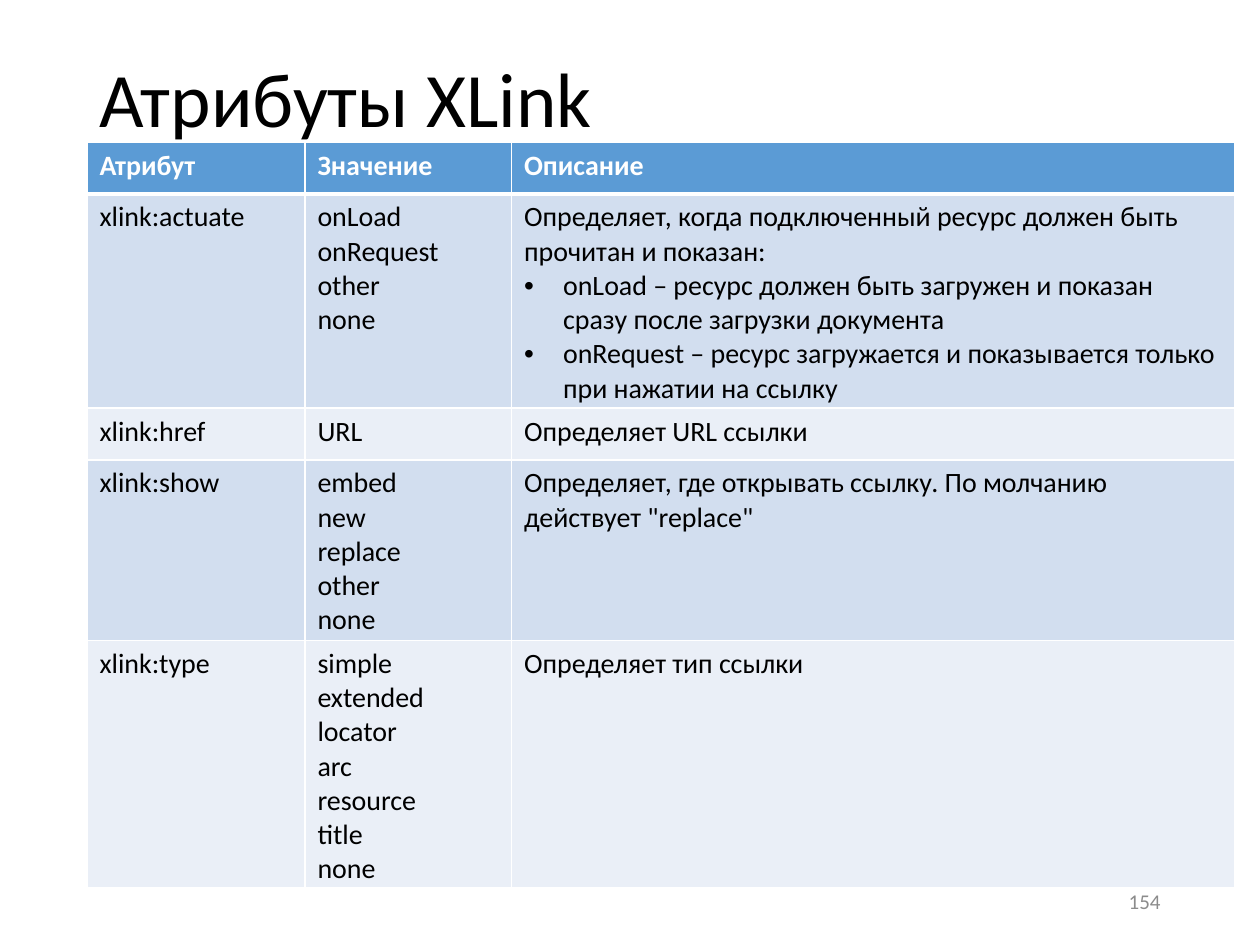
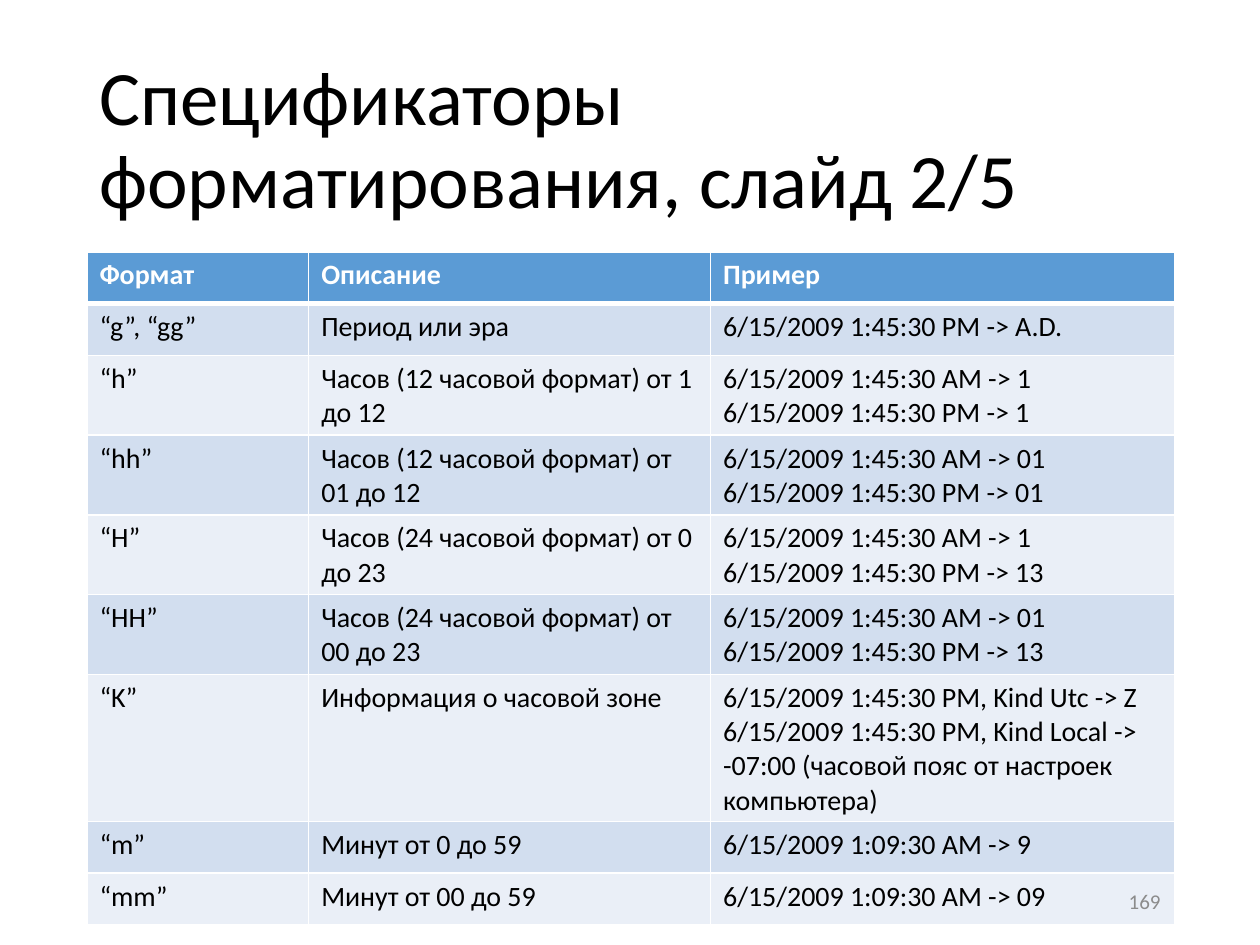
from lxml.etree import SubElement
from pptx import Presentation
from pptx.dml.color import RGBColor
from pptx.enum.text import MSO_ANCHOR, PP_ALIGN
from pptx.oxml.ns import qn
from pptx.util import Inches, Pt

# Content: a list inside a cell is an introduction followed by bullet items
SLIDES = [
    {
        "title": "Атрибуты XLink",
        "title_height": 0.82,
        "number": "154",
        "table_top": 1.13,
        "columns": [1.73, 1.64, 5.74],
        "rows": [
            ("Атрибут", "Значение", "Описание"),
            ("xlink:actuate", "onLoad\nonRequest\nother\nnone", [
                "Определяет, когда подключенный ресурс должен быть прочитан и показан:",
                "onLoad – ресурс должен быть загружен и показан сразу после загрузки документа",
                "onRequest – ресурс загружается и показывается только при нажатии на ссылку",
            ]),
            ("xlink:href", "URL", "Определяет URL ссылки"),
            ("xlink:show", "embed\nnew\nreplace\nother\nnone",
             'Определяет, где открывать ссылку. По молчанию действует "replace"'),
            ("xlink:type", "simple\nextended\nlocator\narc\nresource\ntitle\nnone",
             "Определяет тип ссылки"),
        ],
    },
    {
        "title": "Спецификаторы форматирования, слайд 2/5",
        "title_height": 1.45,
        "number": "169",
        "table_top": 2,
        "columns": [1.76, 3.19, 3.68],
        "rows": [
            ("Формат", "Описание", "Пример"),
            ("“g”, “gg”", "Период или эра", "6/15/2009 1:45:30 PM -> A.D."),
            ("“h”", "Часов (12 часовой формат) от 1 до 12",
             "6/15/2009 1:45:30 AM -> 1\n6/15/2009 1:45:30 PM -> 1"),
            ("“hh”", "Часов (12 часовой формат) от 01 до 12",
             "6/15/2009 1:45:30 AM -> 01\n6/15/2009 1:45:30 PM -> 01"),
            ("“H”", "Часов (24 часовой формат) от 0 до 23",
             "6/15/2009 1:45:30 AM -> 1\n6/15/2009 1:45:30 PM -> 13"),
            ("“HH”", "Часов (24 часовой формат) от 00 до 23",
             "6/15/2009 1:45:30 AM -> 01\n6/15/2009 1:45:30 PM -> 13"),
            ("“K”", "Информация о часовой зоне",
             "6/15/2009 1:45:30 PM, Kind Utc -> Z\n6/15/2009 1:45:30 PM, Kind Local -> "
             "-07:00 (часовой пояс от настроек компьютера)"),
            ("“m”", "Минут от 0 до 59", "6/15/2009 1:09:30 AM -> 9"),
            ("“mm”", "Минут от 00 до 59", "6/15/2009 1:09:30 AM -> 09"),
        ],
    },
]

# Shared style
FONT = "Calibri"
BLACK, WHITE, GRAY = "000000", "FFFFFF", "8C8C8C"
HEADER_FILL, BAND_FILLS = "5B9BD5", ("D2DEEF", "EAEFF7")
SLIDE_WIDTH, SLIDE_HEIGHT = 10, 7.5
MARGIN = 0.69
CONTENT_WIDTH = SLIDE_WIDTH - 2 * MARGIN
TITLE_TOP = 0.4
NUMBER_TOP, NUMBER_WIDTH, NUMBER_HEIGHT = 6.95, 2.25, 0.4
ROW_HEIGHT = 0.41
BULLET_INDENT = 0.31
THIN, THICK = 1, 3


def color(value):
    return RGBColor.from_string(value)


def style(paragraph, size, text_color, bold=False):
    font = paragraph.font
    font.name, font.size, font.bold = FONT, Pt(size), bold
    font.color.rgb = color(text_color)


def add_text(slide, text, left, top, width, height, size, text_color):
    shape = slide.shapes.add_textbox(*map(Inches, (left, top, width, height)))
    frame = shape.text_frame
    frame.word_wrap = True
    frame.vertical_anchor = MSO_ANCHOR.MIDDLE
    paragraph = frame.paragraphs[0]
    paragraph.text = text
    style(paragraph, size, text_color)
    return paragraph


def add_bullet(paragraph):
    properties = paragraph._p.get_or_add_pPr()
    properties.set("marL", str(Inches(BULLET_INDENT)))
    properties.set("indent", str(-Inches(BULLET_INDENT)))
    # Bullet elements precede the default run properties
    bullet_font = properties.makeelement(qn("a:buFont"), {"typeface": "Arial"})
    bullet = properties.makeelement(qn("a:buChar"), {"char": "•"})
    properties.insert(0, bullet_font)
    properties.insert(1, bullet)


def set_borders(cell, row_index):
    widths = {
        "L": THIN,
        "R": THIN,
        "T": THICK if row_index == 1 else THIN,
        "B": THICK if row_index == 0 else THIN,
    }
    properties = cell._tc.get_or_add_tcPr()
    for side, width in widths.items():
        line = SubElement(properties, qn(f"a:ln{side}"), w=str(Pt(width)))
        fill = SubElement(line, qn("a:solidFill"))
        SubElement(fill, qn("a:srgbClr"), val=WHITE)


def fill_cell(cell, content, row_index):
    header = row_index == 0
    set_borders(cell, row_index)
    cell.fill.solid()
    cell.fill.fore_color.rgb = color(
        HEADER_FILL if header else BAND_FILLS[(row_index - 1) % 2])
    texts = content if isinstance(content, list) else [content]
    frame = cell.text_frame
    for index, text in enumerate(texts):
        paragraph = frame.add_paragraph() if index else frame.paragraphs[0]
        paragraph.text = text
        style(paragraph, 16, WHITE if header else BLACK, header)
        if index:
            add_bullet(paragraph)


def add_attribute_table(slide, top, columns, rows):
    table = slide.shapes.add_table(
        len(rows), len(columns), Inches(MARGIN), Inches(top),
        Inches(sum(columns)), Inches(ROW_HEIGHT * len(rows))).table
    for column, width in zip(table.columns, columns):
        column.width = Inches(width)
    for row_index, row in enumerate(rows):
        table.rows[row_index].height = Inches(ROW_HEIGHT)
        for column_index, content in enumerate(row):
            fill_cell(table.cell(row_index, column_index), content, row_index)


def main():
    presentation = Presentation()
    presentation.slide_width = Inches(SLIDE_WIDTH)
    presentation.slide_height = Inches(SLIDE_HEIGHT)
    for content in SLIDES:
        slide = presentation.slides.add_slide(presentation.slide_layouts[6])
        title = add_text(slide, content["title"], MARGIN, TITLE_TOP,
                         CONTENT_WIDTH, content["title_height"], 44, BLACK)
        title.line_spacing = 0.9
        add_attribute_table(slide, content["table_top"], content["columns"], content["rows"])
        number = add_text(slide, content["number"], SLIDE_WIDTH - MARGIN - NUMBER_WIDTH,
                          NUMBER_TOP, NUMBER_WIDTH, NUMBER_HEIGHT, 12, GRAY)
        number.alignment = PP_ALIGN.RIGHT
    presentation.save("out.pptx")


if __name__ == "__main__":
    main()
